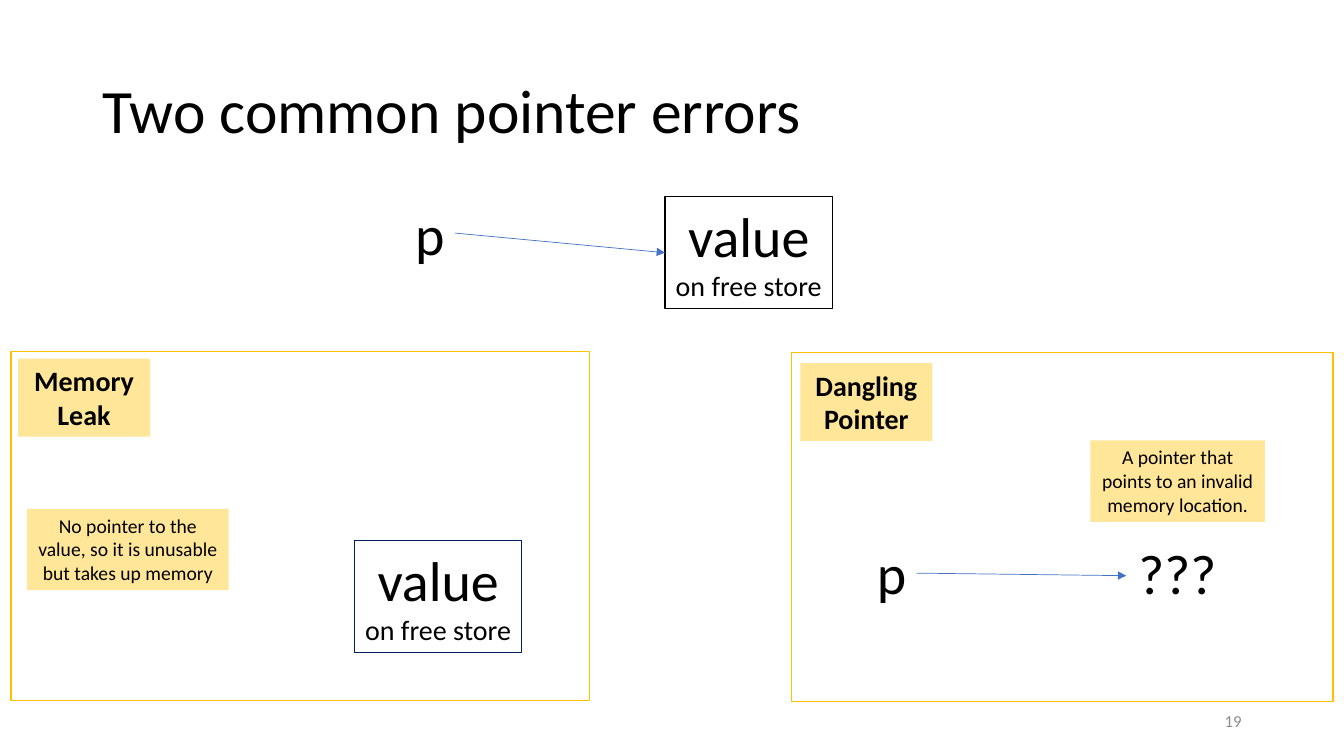
from lxml.etree import SubElement
from pptx import Presentation
from pptx.dml.color import RGBColor
from pptx.enum.shapes import MSO_CONNECTOR as Link, MSO_SHAPE as Shape
from pptx.enum.text import MSO_ANCHOR as Anchor, PP_ALIGN as Align
from pptx.oxml.ns import qn
from pptx.util import Pt

COLORS = {
    "text": "000000",
    "number": "8C8C8C",
    "label": "FFE699",
    "frame": "FFC000",
    "arrow": "4472C4",
    "navy": "002060",
}
FONT = "Calibri"


def color(name):
    """Return the named colour."""
    return RGBColor.from_string(COLORS[name])


def style(para, size, align=Align.LEFT, tint="text", bold=False):
    """Set the font and alignment of a paragraph."""
    para.alignment = align
    para.font.name = FONT
    para.font.size = Pt(size)
    para.font.bold = bold
    para.font.color.rgb = color(tint)


def add_text(page, area, text, size, align=Align.LEFT, tint="text",
             anchor=Anchor.TOP, wrap=False):
    """Add a text box and return its paragraph."""
    box = page.shapes.add_textbox(*map(Pt, area))
    box.text_frame.word_wrap = wrap
    box.text_frame.vertical_anchor = anchor
    para = box.text_frame.paragraphs[0]
    para.text = text
    style(para, size, align, tint)
    return para


def add_box(page, area, fill=None, line=None, weight=0.75):
    """Add a rectangle with an optional fill and outline."""
    box = page.shapes.add_shape(Shape.RECTANGLE, *map(Pt, area))
    box.shadow.inherit = False
    box.text_frame.vertical_anchor = Anchor.TOP
    if fill:
        box.fill.solid()
        box.fill.fore_color.rgb = color(fill)
    else:
        box.fill.background()
    if line:
        box.line.color.rgb = color(line)
        box.line.width = Pt(weight)
    else:
        box.line.fill.background()
    return box


def add_label(page, area, text, size, bold=False):
    """Add a filled label with centred text."""
    box = add_box(page, area, fill="label")
    box.text_frame.word_wrap = True
    para = box.text_frame.paragraphs[0]
    para.text = text
    style(para, size, Align.CENTER, bold=bold)


def add_value(page, left, top, line):
    """Add the box that stands for a value on the free store."""
    box = add_box(page, (left, top, 119.6, 80), line=line)
    box.text_frame.word_wrap = False
    para = box.text_frame.paragraphs[0]
    style(para, 40, Align.CENTER)
    para.add_run().text = "value"
    para.add_line_break()
    span = para.add_run()
    span.text = "on free store"
    span.font.size = Pt(20)


def add_arrow(page, *ends):
    """Add a thin arrow between two points."""
    arrow = page.shapes.add_connector(Link.STRAIGHT, *map(Pt, ends))
    arrow.line.color.rgb = color("arrow")
    arrow.line.width = Pt(0.5)
    SubElement(arrow.line._get_or_add_ln(), qn("a:tailEnd"), type="triangle")
    SubElement(arrow._element.spPr, qn("a:effectLst"))


def main():
    """Build the slide on pointer errors."""
    deck = Presentation()
    deck.slide_width, deck.slide_height = Pt(960), Pt(540)
    page = deck.slides.add_slide(deck.slide_layouts[6])

    title = add_text(page, (66, 28.8, 828, 104.4), "Two common pointer errors",
                     44, anchor=Anchor.MIDDLE, wrap=True)
    title.line_spacing = 0.9
    add_text(page, (678, 500.5, 216, 28.8), "19", 12, Align.RIGHT, "number",
             Anchor.MIDDLE, wrap=True)

    add_text(page, (289.4, 139, 35.5, 55.7), "p", 40)
    add_value(page, 475, 140.4, "text")
    add_arrow(page, 324.9, 166.5, 475, 180.5)

    add_label(page, (12.9, 256.2, 94.3, 55.7), "Memory Leak", 20, bold=True)
    add_label(page, (19.4, 363.4, 144, 58.2),
              "No pointer to the value, so it is unusable but takes up memory", 14)
    add_value(page, 253.2, 386, "navy")

    add_label(page, (571.7, 259.3, 94.3, 55.7), "Dangling Pointer", 20, bold=True)
    add_label(page, (778.9, 314.6, 124.6, 58.2),
              "A pointer that points to an invalid memory location.", 14)
    add_text(page, (619.2, 381.4, 35.5, 55.7), "p", 40)
    add_text(page, (805.7, 381.4, 70.5, 55.7), "???", 40, Align.CENTER)
    add_arrow(page, 654.6, 409.4, 804.5, 411.2)

    for area in ((7.9, 251.1, 413.3, 249.1), (565.4, 251.8, 386.7, 249.1)):
        add_box(page, area, line="frame", weight=1)

    deck.save("out.pptx")


if __name__ == "__main__":
    main()
